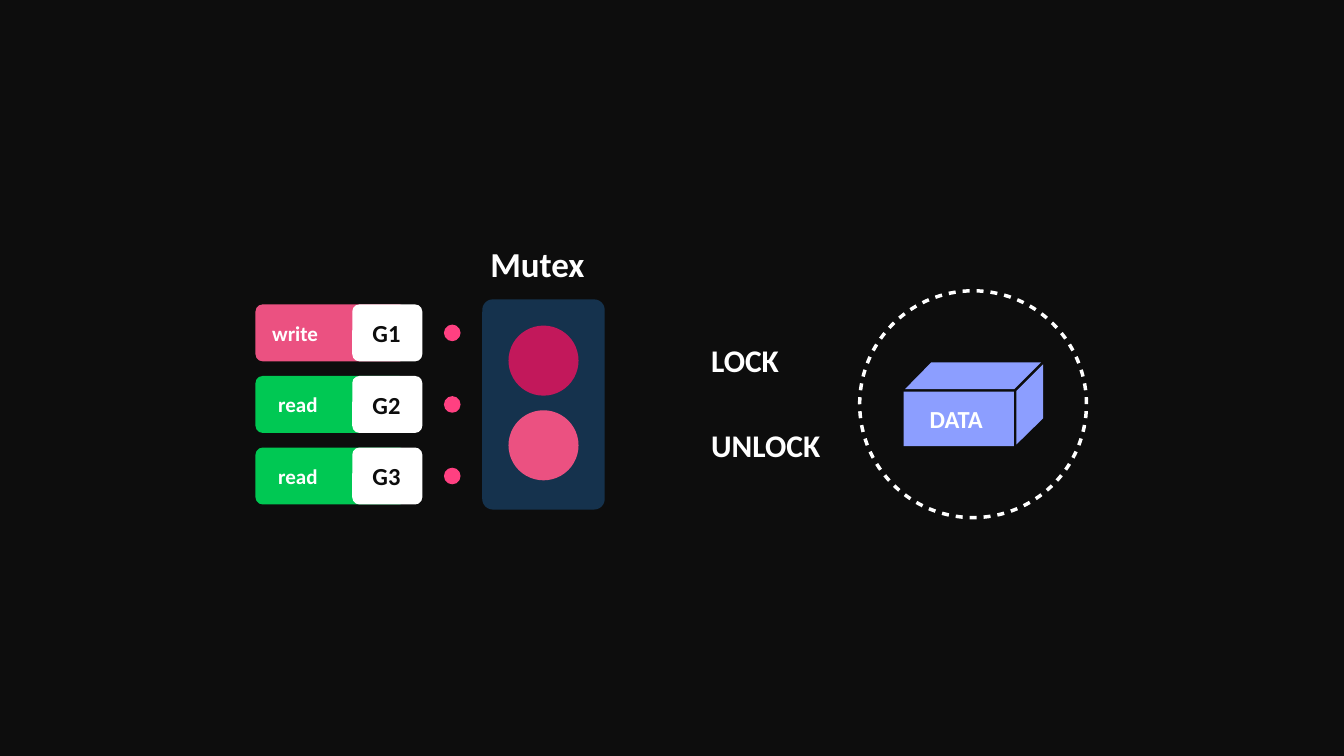
from lxml import etree
from pptx import Presentation
from pptx.dml.color import RGBColor
from pptx.enum.shapes import MSO_SHAPE as Shape
from pptx.enum.text import MSO_ANCHOR as Anchor
from pptx.oxml.ns import qn
from pptx.util import Inches, Pt

COLORS = {
    "background": "0D0D0D",
    "white": "FFFFFF",
    "write": "EB5181",
    "read": "00C853",
    "panel": "15324D",
    "lock": "C2185B",
    "unlock": "EB5181",
    "dot": "FF4081",
    "data": "8C9EFF",
}


def add_filled(kind, left, top, width, height, color, corner=None):
    """Add a borderless preset shape; corner is the rounding of a rounded box."""
    shape = page.shapes.add_shape(
        kind, Inches(left), Inches(top), Inches(width), Inches(height))
    shape.shadow.inherit = False
    shape.fill.solid()
    shape.fill.fore_color.rgb = RGBColor.from_string(COLORS[color])
    shape.line.fill.background()
    if corner is not None:
        shape.adjustments[0] = corner
    return shape


def add_label(text, left, top, width, height, size, color="white"):
    box = page.shapes.add_textbox(
        Inches(left), Inches(top), Inches(width), Inches(height))
    frame = box.text_frame
    frame.margin_left = frame.margin_right = Inches(0.06)
    frame.margin_top = frame.margin_bottom = Inches(0.06)
    frame.vertical_anchor = Anchor.MIDDLE
    frame.word_wrap = False
    frame.text = text
    font = frame.paragraphs[0].runs[0].font
    font.name = "Calibri"
    font.size = Pt(size)
    font.bold = True
    font.color.rgb = RGBColor.from_string(COLORS[color])


deck = Presentation()
deck.slide_width = Inches(26.67)
deck.slide_height = Inches(15)
page = deck.slides.add_slide(deck.slide_layouts[6])
page.background.fill.solid()
page.background.fill.fore_color.rgb = RGBColor.from_string(COLORS["background"])

# Goroutines: operation, name and waiting dot, one row each
operations = [("write", 5.34, 1.38), ("read", 5.46, 1.13), ("read", 5.46, 1.13)]
for row, (operation, left, width) in enumerate(operations):
    top = 6.04 + row * 1.42
    add_filled(Shape.ROUNDED_RECTANGLE, 5.07, top, 3, 1.13, operation, 0.126)
    add_filled(Shape.ROUNDED_RECTANGLE, 6.99, top, 1.39, 1.13, "white", 0.126)
    add_label(operation, left, top + 0.22, width, 0.68, 30)
    add_label(f"G{row + 1}", 7.33, top + 0.17, 0.71, 0.78, 35, "background")
    add_filled(Shape.OVAL, 8.81, top + 0.4, 0.33, 0.33, "dot")

# Mutex traffic light
add_label("Mutex", 9.67, 4.69, 2.22, 1.06, 50)
add_filled(Shape.ROUNDED_RECTANGLE, 9.57, 5.94, 2.43, 4.17, "panel", 0.086)
for state, top, width in [("lock", 6.46, 1.63), ("unlock", 8.14, 2.38)]:
    add_filled(Shape.OVAL, 10.09, top, 1.39, 1.39, state)
    add_label(state.upper(), 14.05, top + 0.21, width, 0.96, 45)

# Data block: top, side and front faces in one outline
faces = [
    [(18.48, 7.19), (17.96, 7.72), (20.13, 7.72), (20.66, 7.19)],
    [(20.7, 7.23), (20.17, 7.76), (20.17, 8.82), (20.7, 8.3)],
    [(17.93, 7.77), (17.93, 8.85), (20.12, 8.85), (20.12, 7.77)],
]
builder = page.shapes.build_freeform(
    Inches(faces[0][0][0]), Inches(faces[0][0][1]), scale=1.0)
for index, face in enumerate(faces):
    corners = [(Inches(x), Inches(y)) for x, y in face]
    if index:
        builder.move_to(*corners[0])
    builder.add_line_segments(corners[1:], close=True)
block = builder.convert_to_shape()
block.shadow.inherit = False
block.fill.solid()
block.fill.fore_color.rgb = RGBColor.from_string(COLORS["data"])
block.line.fill.background()
add_label("DATA", 18.39, 7.92, 1.3, 0.78, 35)

# Dashed ring around the data
ring = add_filled(Shape.OVAL, 17.06, 5.77, 4.5, 4.5, "background")
ring.fill.background()
ring.line.color.rgb = RGBColor.from_string(COLORS["white"])
ring.line.width = Pt(5)
outline = ring._element.spPr.find(qn("a:ln"))
dashes = etree.SubElement(outline, qn("a:custDash"))
etree.SubElement(dashes, qn("a:ds"), d="200000", sp="200000")

deck.save("out.pptx")
